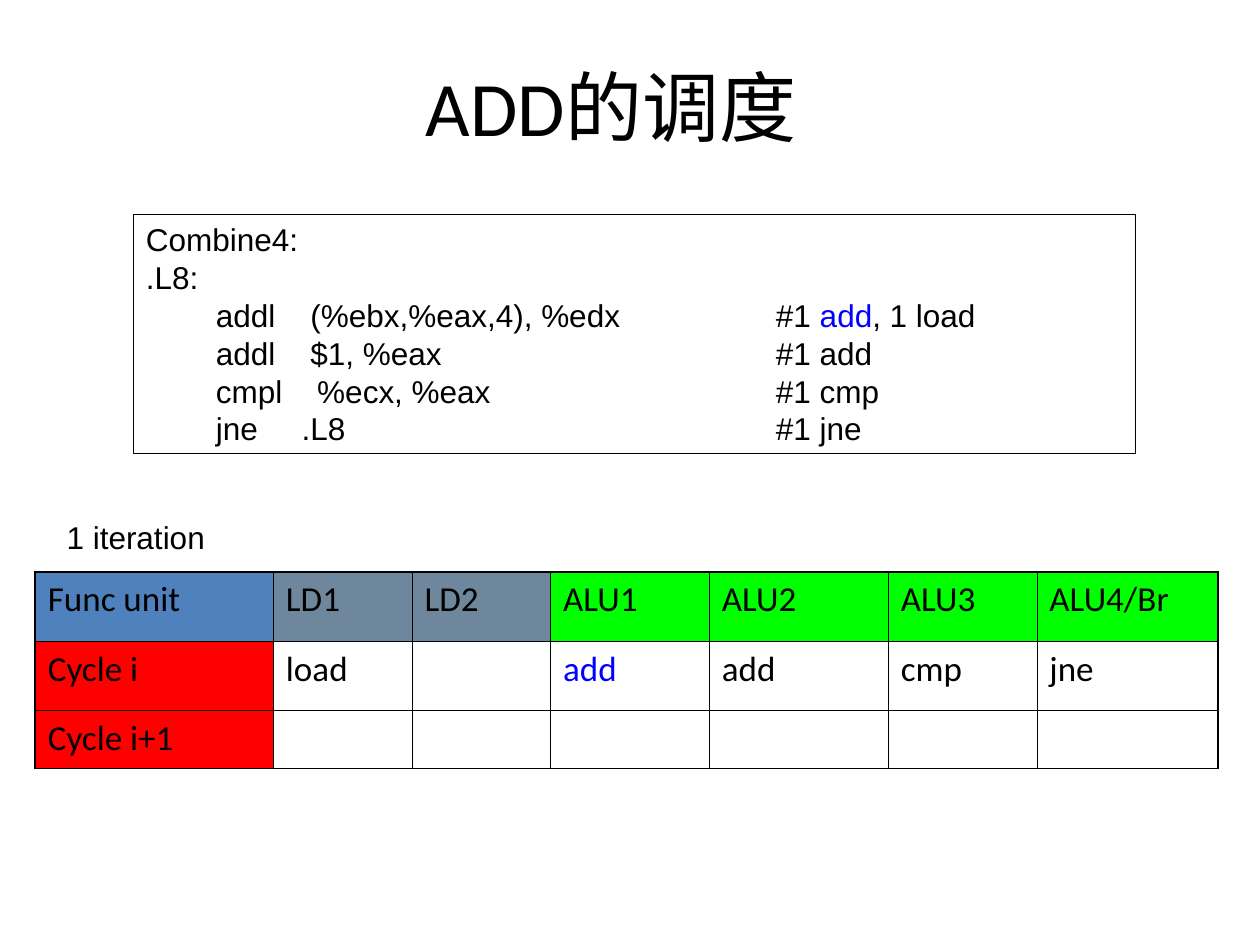
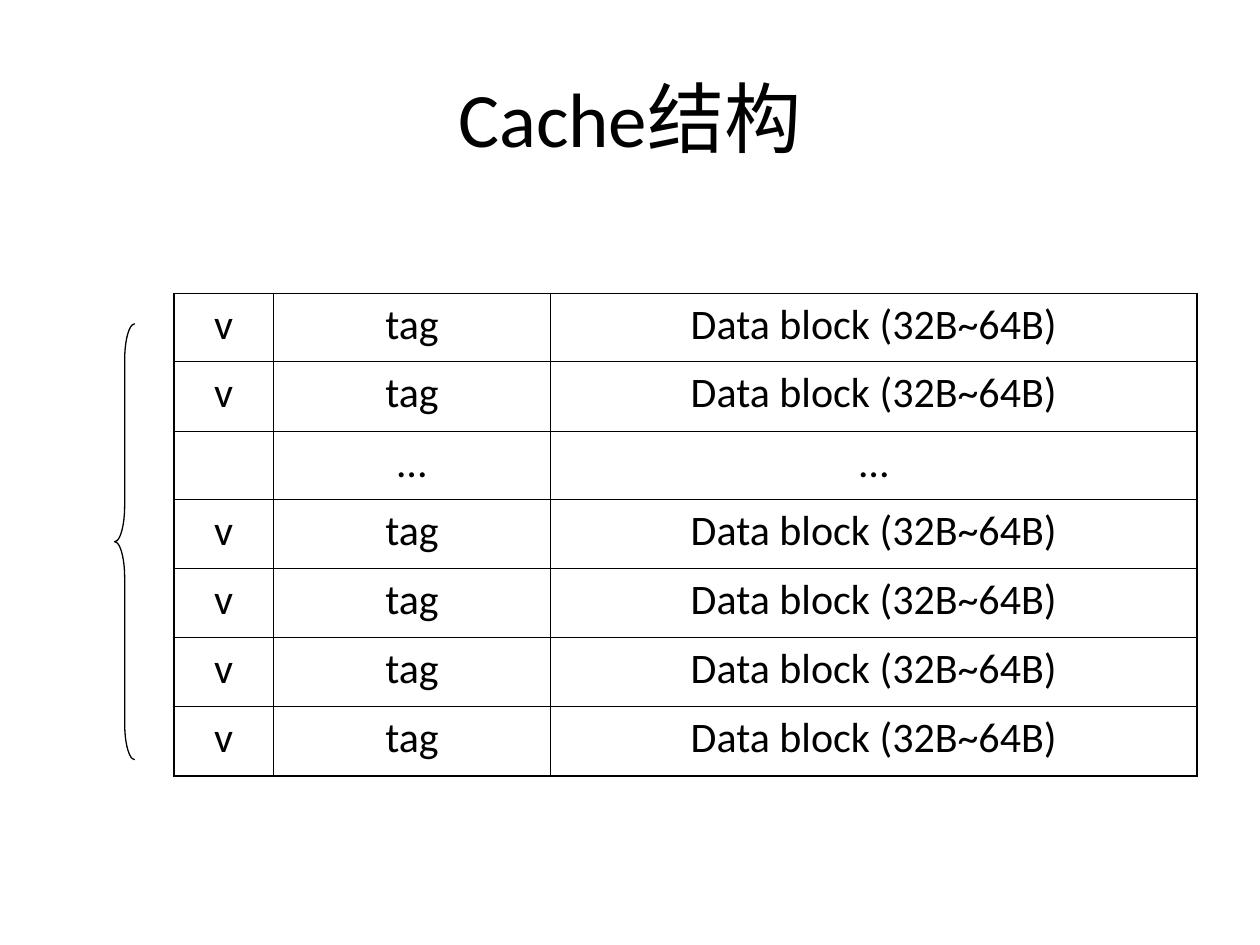
"""Builds two lecture slides: instruction scheduling and cache structure."""
from dataclasses import dataclass, field

from lxml import etree
from pptx import Presentation
from pptx.dml.color import RGBColor
from pptx.enum.shapes import MSO_SHAPE
from pptx.enum.text import MSO_ANCHOR, PP_ALIGN
from pptx.oxml.ns import qn
from pptx.util import Pt

EMU_PER_PX = 9144
BLANK_LAYOUT = 6
LEFT, CENTER = PP_ALIGN.LEFT, PP_ALIGN.CENTER
TOP, MIDDLE = MSO_ANCHOR.TOP, MSO_ANCHOR.MIDDLE
RECTANGLE, LEFT_BRACE = MSO_SHAPE.RECTANGLE, MSO_SHAPE.LEFT_BRACE


@dataclass(frozen=True)
class Theme:
    """Colours, fonts, type sizes and line widths of the deck."""
    ink: str = "000000"
    accent: str = "0000FF"
    header: str = "4F81BD"
    load_unit: str = "6F879D"
    alu: str = "00FF00"
    cycle: str = "FF0000"
    heading_font: str = "Calibri"
    body_font: str = "Arial"
    title_size: int = 44
    body_size: int = 18
    schedule_size: int = 20
    cache_size: int = 24
    shape_line: float = 0.75
    outer_line: float = 1.08
    inner_line: float = 0.45


THEME = Theme()


@dataclass(frozen=True)
class Box:
    """A rectangle in px."""
    x: int
    y: int
    w: int
    h: int

    def emu(self) -> tuple[int, ...]:
        """Return left, top, width and height in EMU."""
        return tuple(px(v) for v in (self.x, self.y, self.w, self.h))


@dataclass(frozen=True)
class TextStyle:
    """Font and paragraph settings of a text block."""
    font: str
    size: int
    align: PP_ALIGN = LEFT
    tab: int = 0


@dataclass(frozen=True)
class Grid:
    """A bordered table with optional fills and text colours by cell."""
    x: int
    y: int
    cols: tuple[int, ...]
    rows: tuple[int, ...]
    texts: tuple[tuple[str, ...], ...]
    style: TextStyle
    fills: dict = field(default_factory=dict)
    colors: dict = field(default_factory=dict)


TITLE = TextStyle(THEME.heading_font, THEME.title_size, CENTER)
BODY = TextStyle(THEME.body_font, THEME.body_size)
CODE = TextStyle(THEME.body_font, THEME.body_size, tab=500)

CODE_LINES = (
    ("Combine4:",),
    (".L8:",),
    ("        addl    (%ebx,%eax,4), %edx\t#1 ", "add", ", 1 load"),
    ("        addl    $1, %eax\t#1 add",),
    ("        cmpl    %ecx, %eax\t#1 cmp",),
    ("        jne     .L8\t#1 jne",),
)

SCHEDULE = Grid(
    28, 454, (189, 110, 110, 126, 142, 118, 144), (55, 55, 46),
    (("Func unit", "LD1", "LD2", "ALU1", "ALU2", "ALU3", "ALU4/Br"),
     ("Cycle i", "load", "", "add", "add", "cmp", "jne"),
     ("Cycle i+1",) + ("",) * 6),
    TextStyle(THEME.heading_font, THEME.schedule_size),
    fills={(0, 0): THEME.header, (1, 0): THEME.cycle, (2, 0): THEME.cycle}
    | {(0, col): THEME.load_unit for col in (1, 2)}
    | {(0, col): THEME.alu for col in range(3, 7)},
    colors={(1, 3): THEME.accent},
)

BLOCK_ROW = ("v", "tag", "Data block (32B~64B)")
CACHE = Grid(
    138, 233, (79, 220, 513), (54, 55, 54, 55, 55, 55, 55),
    (BLOCK_ROW,) * 2 + (("", "…", "…"),) + (BLOCK_ROW,) * 4,
    TextStyle(THEME.heading_font, THEME.cache_size, CENTER),
)


def px(value: int) -> int:
    """Turn px into EMU."""
    return value * EMU_PER_PX


def style_paragraph(p, style: TextStyle, colors: tuple[str, ...]) -> None:
    """Apply alignment, tab stop and run fonts, one colour per run."""
    p.alignment = style.align
    if style.tab:
        tabs = etree.SubElement(p._p.get_or_add_pPr(), qn("a:tabLst"))
        etree.SubElement(tabs, qn("a:tab"), pos=str(px(style.tab)), algn="l")
    for r, color in zip(p.runs, colors):
        r.font.name = style.font
        r.font.size = Pt(style.size)
        r.font.color.rgb = RGBColor.from_string(color)


def fill_text(tf, lines: tuple[tuple[str, ...], ...], style: TextStyle,
              anchor: MSO_ANCHOR = TOP) -> None:
    """Write lines of runs, with every second run in the accent colour."""
    tf.word_wrap = True
    tf.vertical_anchor = anchor
    for i, line in enumerate(lines):
        p = tf.add_paragraph() if i else tf.paragraphs[0]
        for text in line:
            p.add_run().text = text
        colors = tuple(THEME.accent if n % 2 else THEME.ink for n in range(len(line)))
        style_paragraph(p, style, colors)


def add_text(s, box: Box, text: str, style: TextStyle, anchor: MSO_ANCHOR = TOP) -> None:
    """Add a text box holding one line."""
    fill_text(s.shapes.add_textbox(*box.emu()).text_frame, ((text,),), style, anchor)


def add_outline(s, kind: MSO_SHAPE, box: Box):
    """Add an unfilled preset shape with a thin line."""
    sp = s.shapes.add_shape(kind, *box.emu())
    sp.shadow.inherit = False
    sp.fill.background()
    sp.line.color.rgb = RGBColor.from_string(THEME.ink)
    sp.line.width = Pt(THEME.shape_line)
    return sp


def set_borders(cell, outer: dict[str, bool]) -> None:
    """Draw the four cell borders, thicker on the outer edges."""
    tc_pr = cell._tc.get_or_add_tcPr()
    for i, (side, is_outer) in enumerate(outer.items()):
        width = Pt(THEME.outer_line if is_outer else THEME.inner_line)
        ln = etree.Element(qn(f"a:ln{side}"), w=str(width))
        fill = etree.SubElement(ln, qn("a:solidFill"))
        etree.SubElement(fill, qn("a:srgbClr"), val=THEME.ink)
        tc_pr.insert(i, ln)


def add_grid(s, grid: Grid) -> None:
    """Add a table drawn from its grid description."""
    last_row, last_col = len(grid.rows) - 1, len(grid.cols) - 1
    box = Box(grid.x, grid.y, sum(grid.cols), sum(grid.rows))
    table = s.shapes.add_table(last_row + 1, last_col + 1, *box.emu()).table
    table.first_row = table.horz_banding = False
    for col, width in zip(table.columns, grid.cols):
        col.width = px(width)
    for i, height in enumerate(grid.rows):
        table.rows[i].height = px(height)
        for j, text in enumerate(grid.texts[i]):
            cell = table.cell(i, j)
            cell.text_frame.text = text
            color = grid.colors.get((i, j), THEME.ink)
            style_paragraph(cell.text_frame.paragraphs[0], grid.style, (color,))
            if (i, j) in grid.fills:
                cell.fill.solid()
                cell.fill.fore_color.rgb = RGBColor.from_string(grid.fills[i, j])
            else:
                cell.fill.background()
            set_borders(cell, {"L": j == 0, "R": j == last_col,
                               "T": i == 0, "B": i == last_row})


def add_slide(prs, title: str, x: int, y: int):
    """Add a blank slide with a centred title."""
    s = prs.slides.add_slide(prs.slide_layouts[BLANK_LAYOUT])
    add_text(s, Box(x, y, 900, 125), title, TITLE, MIDDLE)
    return s


def build_scheduling(prs) -> None:
    """Build the slide on scheduling additions."""
    s = add_slide(prs, "ADD的调度", 35, 21)
    add_grid(s, SCHEDULE)
    code = add_outline(s, RECTANGLE, Box(106, 170, 795, 190))
    fill_text(code.text_frame, CODE_LINES, CODE)
    add_text(s, Box(43, 406, 157, 40), "1 iteration", BODY)


def build_cache(prs) -> None:
    """Build the slide on cache structure."""
    s = add_slide(prs, "Cache结构", 50, 30)
    add_grid(s, CACHE)
    brace = add_outline(s, LEFT_BRACE, Box(91, 257, 16, 346))
    brace.adjustments[0] = 1.8


def main() -> None:
    """Build and save the deck."""
    prs = Presentation()
    prs.slide_width, prs.slide_height = px(1000), px(750)
    build_scheduling(prs)
    build_cache(prs)
    prs.save("out.pptx")


if __name__ == "__main__":
    main()
